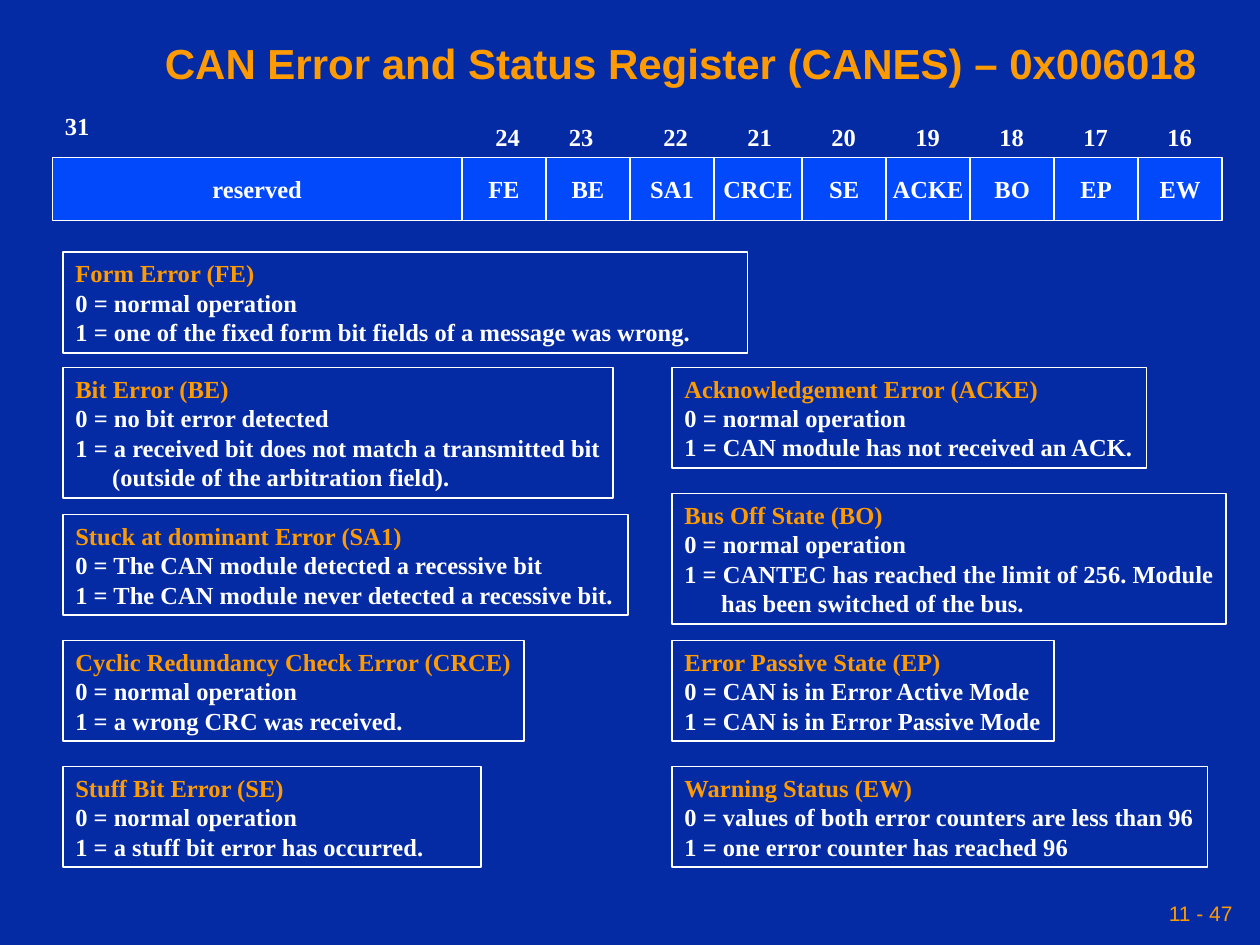
from itertools import accumulate

from pptx import Presentation
from pptx.dml.color import RGBColor
from pptx.enum.shapes import MSO_SHAPE as Shape
from pptx.enum.text import MSO_ANCHOR as Anchor, MSO_AUTO_SIZE as AutoSize, PP_ALIGN as Align
from pptx.util import Inches, Pt

NAVY = RGBColor(0x04, 0x2A, 0xA4)
BLUE = RGBColor(0x02, 0x49, 0xFC)
ORANGE = RGBColor(0xFE, 0x9B, 0x03)
WHITE = RGBColor(0xFF, 0xFF, 0xFF)

COLUMNS, ROWS = 120, 90
PANEL_LEFT, PANEL_RIGHT = 6, 64
INDENT = Pt(21)

FIELDS = [
    ("reserved", 39), ("FE", 8), ("BE", 8), ("SA1", 8), ("CRCE", 8.4),
    ("SE", 8), ("ACKE", 8), ("BO", 8), ("EP", 8), ("EW", 8),
]
BIT_COLUMNS = [46, 53, *range(62, 111, 8)]

PANELS = [
    (PANEL_LEFT, 24, 65.2, "Form Error (FE)", "0 = normal operation",
     "1 = one of the fixed form bit fields of a message was wrong."),
    (PANEL_LEFT, 35, 52.4, "Bit Error (BE)", "0 = no bit error detected",
     "1 = a received bit does not match a transmitted bit", "(outside of the arbitration field)."),
    (PANEL_LEFT, 49, 53.8, "Stuck at dominant Error (SA1)",
     "0 = The CAN module detected a recessive bit",
     "1 = The CAN module never detected a recessive bit."),
    (PANEL_LEFT, 61, 43.9, "Cyclic Redundancy Check Error (CRCE)", "0 = normal operation",
     "1 = a wrong CRC was received."),
    (PANEL_LEFT, 73, 39.8, "Stuff Bit Error (SE)", "0 = normal operation",
     "1 = a stuff bit error has occurred."),
    (PANEL_RIGHT, 35, 45.2, "Acknowledgement Error (ACKE)", "0 = normal operation",
     "1 = CAN module has not received an ACK."),
    (PANEL_RIGHT, 47, 52.8, "Bus Off State (BO)", "0 = normal operation",
     "1 = CANTEC has reached the limit of 256. Module", "has been switched of the bus."),
    (PANEL_RIGHT, 61, 36.4, "Error Passive State (EP)", "0 = CAN is in Error Active Mode",
     "1 = CAN is in Error Passive Mode"),
    (PANEL_RIGHT, 73, 51, "Warning Status (EW)",
     "0 = values of both error counters are less than 96",
     "1 = one error counter has reached 96"),
]


class RegisterSlide:
    """Styles and places the parts of a register description on one slide."""

    def __init__(self, presentation):
        self.column = presentation.slide_width / COLUMNS
        self.row = presentation.slide_height / ROWS
        self.slide = presentation.slides.add_slide(presentation.slide_layouts[5])
        self.slide.background.fill.solid()
        self.slide.background.fill.fore_color.rgb = NAVY

    def area(self, left, top, width, height):
        return (round(left * self.column), round(top * self.row),
                round(width * self.column), round(height * self.row))

    def set_text(self, shape, lines, size=14, font="Times New Roman", bold=True,
                 heading=WHITE, align=Align.LEFT, anchor=Anchor.TOP, margins=(0.1, 0)):
        frame = shape.text_frame
        frame.text = "\n".join(lines)
        frame.word_wrap = True
        frame.auto_size = AutoSize.NONE
        frame.vertical_anchor = anchor
        frame.margin_left, frame.margin_right = map(Inches, margins)
        frame.margin_top = frame.margin_bottom = Inches(0.05)
        for index, paragraph in enumerate(frame.paragraphs):
            paragraph.alignment = align
            for run in paragraph.runs:
                run.font.size = Pt(size)
                run.font.name = font
                run.font.bold = bold
                run.font.color.rgb = WHITE if index else heading

    def title(self, text):
        shape = self.slide.shapes.title
        shape.left, shape.top, shape.width, shape.height = self.area(14.5, 3, 101.5, 6)
        self.set_text(shape, [text], size=24, font="Arial", heading=ORANGE)

    def label(self, text, left, top, width=4.7, height=4, **style):
        self.set_text(self.slide.shapes.add_textbox(*self.area(left, top, width, height)),
                      [text], **style)

    def box(self, left, top, width, height):
        shape = self.slide.shapes.add_shape(Shape.RECTANGLE, *self.area(left, top, width, height))
        shape.shadow.inherit = False
        shape.fill.background()
        shape.line.color.rgb = WHITE
        shape.line.width = Pt(1)
        return shape

    def field(self, text, left, width):
        shape = self.box(left, 15, width, 6)
        shape.fill.solid()
        shape.fill.fore_color.rgb = BLUE
        self.set_text(shape, [text], align=Align.CENTER, anchor=Anchor.MIDDLE, margins=(0, 0))

    def panel(self, left, top, width, *lines):
        shape = self.box(left, top, width, 1.2 + 2.8 * len(lines))
        self.set_text(shape, lines, heading=ORANGE)
        for paragraph in shape.text_frame.paragraphs[3:]:
            paragraph._p.get_or_add_pPr().set("marL", str(INDENT))


def main():
    presentation = Presentation()
    presentation.slide_width, presentation.slide_height = Inches(10), Inches(7.5)
    register = RegisterSlide(presentation)
    register.title("CAN Error and Status Register (CANES) – 0x006018")
    register.label("31", 5, 10)
    for bit, left in zip(range(24, 15, -1), BIT_COLUMNS):
        register.label(str(bit), left, 11)
    lefts = accumulate((width for _, width in FIELDS), initial=5)
    for (name, width), left in zip(FIELDS, lefts):
        register.field(name, left, width)
    for panel in PANELS:
        register.panel(*panel)
    register.label("11 - 47", 82, 85, 36, 4, size=12, font="Arial", bold=False,
                   heading=ORANGE, align=Align.RIGHT, anchor=Anchor.MIDDLE, margins=(0.05, 0.05))
    presentation.save("out.pptx")


if __name__ == "__main__":
    main()
